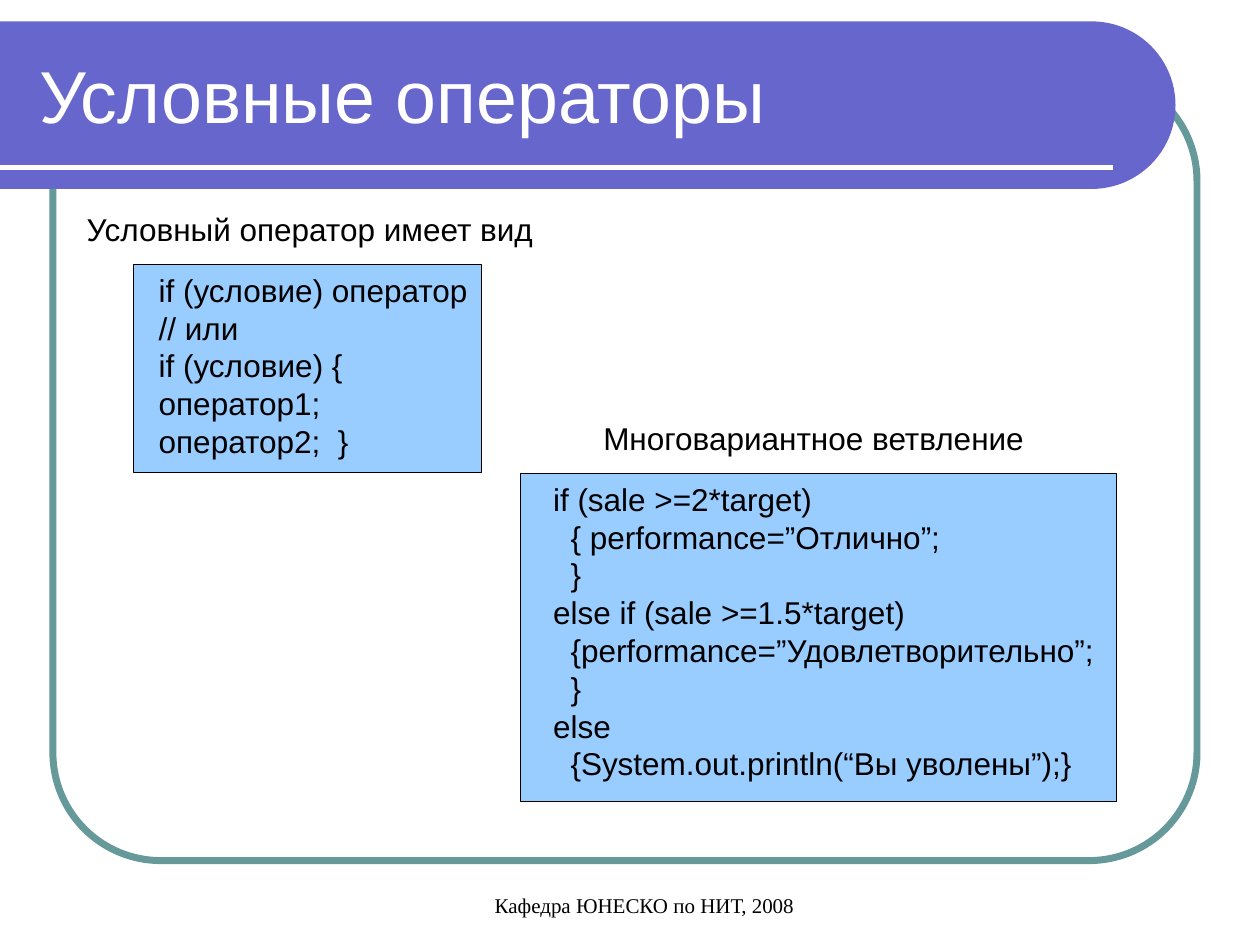
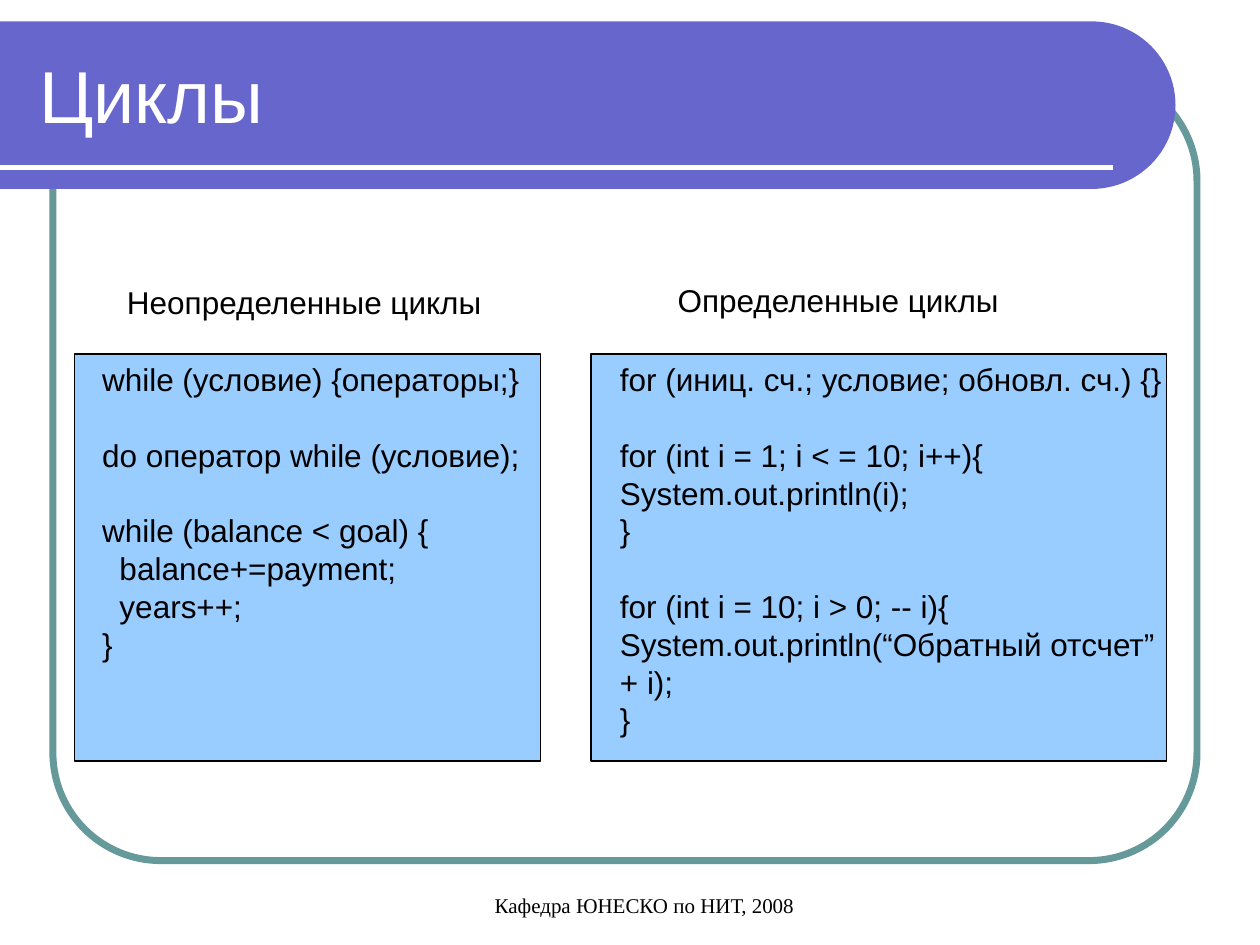
import math
from lxml import etree
from pptx import Presentation
from pptx.dml.color import RGBColor
from pptx.enum import shapes, text
from pptx.oxml.ns import qn
from pptx.util import Inches, Pt

COLORS = {"band": "6666CC", "frame": "669999", "panel": "99CCFF",
          "text": "000000", "light": "FFFFFF"}
FOOTER = "Кафедра ЮНЕСКО по НИТ, 2008"
LINE = Pt(21.6)

CONDITION = """if (условие) оператор
// или
if (условие) {
оператор1;
оператор2;  }"""

BRANCHING = """if (sale >=2*target)
  { performance=”Отлично”;
  }
else if (sale >=1.5*target)
  {performance=”Удовлетворительно”;
  }
else
  {System.out.println(“Вы уволены”);}"""

WHILE_LOOPS = """while (условие) {операторы;}

do оператор while (условие);

while (balance < goal) {
  balance+=payment;
  years++;
}"""

FOR_LOOPS = """for (иниц. сч.; условие; обновл. сч.) {}

for (int i = 1; i < = 10; i++){
System.out.println(i);
}

for (int i = 10; i > 0; -- i){
System.out.println(“Обратный отсчет”
+ i);
}"""


def color(name):
    return RGBColor.from_string(COLORS[name])


def inches(box):
    return [Inches(v) for v in box]


def style(p, size, name="text", font="Arial", align=text.PP_ALIGN.LEFT):
    p.alignment = align
    for r in p.runs:
        r.font.size = Pt(size)
        r.font.name = font
        r.font.color.rgb = color(name)


def paint(sp, fill=None, line=None, width=0.75):
    sp.shadow.inherit = False
    if fill:
        sp.fill.solid()
        sp.fill.fore_color.rgb = color(fill)
    else:
        sp.fill.background()
    if line:
        sp.line.color.rgb = color(line)
        sp.line.width = Pt(width)
    else:
        sp.line.fill.background()


def add_frame(slide, box):
    sp = slide.shapes.add_shape(shapes.MSO_SHAPE.ROUNDED_RECTANGLE, *inches(box))
    sp.adjustments[0] = 0.137
    paint(sp, line="frame", width=4)
    return sp


def add_band(slide, box, steps=48):
    left, top, width, height = inches(box)
    radius = height / 2
    cx, cy = left + width - radius, top + radius
    angles = [math.pi * (i / steps - 0.5) for i in range(steps + 1)]
    arc = [(cx + radius * math.cos(a), cy + radius * math.sin(a)) for a in angles]
    builder = slide.shapes.build_freeform(left, top)
    builder.add_line_segments(arc + [(left, top + height)], close=True)
    sp = builder.convert_to_shape()
    paint(sp, fill="band")
    return sp


def add_rule(slide, left, right, y):
    rule = slide.shapes.add_connector(shapes.MSO_CONNECTOR.STRAIGHT,
                                      *inches((left, y, right, y)))
    rule.line.color.rgb = color("light")
    rule.line.width = Pt(3)
    etree.SubElement(rule._element.spPr, qn("a:effectLst"))
    return rule


def decorate_layout(slide):
    parts = [add_frame(slide, (0.42, 0.58, 9.08, 6.25)),
             add_band(slide, (0, 0.17, 9.33, 1.33)),
             add_rule(slide, 0, 8.83, 1.33)]
    for sp in parts:
        slide.slide_layout.shapes.element.append(sp._element)


def add_title(slide, title):
    sp = slide.shapes.title
    sp.left, sp.top, sp.width, sp.height = inches((0.21, 0.25, 8.77, 1))
    tf = sp.text_frame
    tf.text = title
    tf.vertical_anchor = text.MSO_ANCHOR.MIDDLE
    style(tf.paragraphs[0], 42, "light")


def add_footer(slide):
    tf = slide.shapes.add_textbox(*inches((3.53, 6.83, 3.17, 0.5))).text_frame
    tf.word_wrap = True
    tf.vertical_anchor = text.MSO_ANCHOR.BOTTOM
    tf.text = FOOTER
    style(tf.paragraphs[0], 12, font="Times New Roman", align=text.PP_ALIGN.CENTER)


def add_caption(slide, caption, left, top, width):
    tf = slide.shapes.add_textbox(*inches((left, top, width, 0.4))).text_frame
    tf.word_wrap = True
    tf.text = caption
    p = tf.paragraphs[0]
    p.line_spacing = LINE
    style(p, 18)


def add_code(slide, code, box, indent):
    sp = slide.shapes.add_shape(shapes.MSO_SHAPE.RECTANGLE, *inches(box))
    paint(sp, fill="panel", line="text")
    tf = sp.text_frame
    tf.word_wrap = True
    tf.vertical_anchor = text.MSO_ANCHOR.TOP
    tf.margin_left, tf.margin_right = Inches(indent), 0
    p = tf.paragraphs[0]
    for i, block in enumerate(code.split("\n\n")):
        for j, row in enumerate(block.split("\n")):
            if i or j:
                p = tf.add_paragraph()
            p.text = row
            p.line_spacing = LINE
            if i and not j:
                p.space_before = LINE
            style(p, 18)


def add_slide(prs, title):
    slide = prs.slides.add_slide(prs.slide_layouts[5])
    add_title(slide, title)
    add_footer(slide)
    return slide


def conditions_slide(prs):
    slide = add_slide(prs, "Условные операторы")
    decorate_layout(slide)
    add_caption(slide, "Условный оператор имеет вид", 0.59, 1.62, 3.77)
    add_code(slide, CONDITION, (1.06, 2.1, 2.76, 1.65), 0.2)
    add_caption(slide, "Многовариантное ветвление", 4.69, 3.28, 3.66)
    add_code(slide, BRANCHING, (4.13, 3.76, 4.73, 2.6), 0.26)


def loops_slide(prs):
    slide = add_slide(prs, "Циклы")
    top, height = 2.81, 3.23
    add_caption(slide, "Неопределенные циклы", 0.91, 2.2, 3.1)
    add_code(slide, WHILE_LOOPS, (0.59, top, 3.7, height), 0.22)
    add_caption(slide, "Определенные циклы", 5.28, 2.18, 2.86)
    add_code(slide, FOR_LOOPS, (4.69, top, 4.57, height), 0.23)


def main():
    prs = Presentation()
    prs.slide_width, prs.slide_height = Inches(10), Inches(7.5)
    conditions_slide(prs)
    loops_slide(prs)
    prs.save("out.pptx")


if __name__ == "__main__":
    main()
